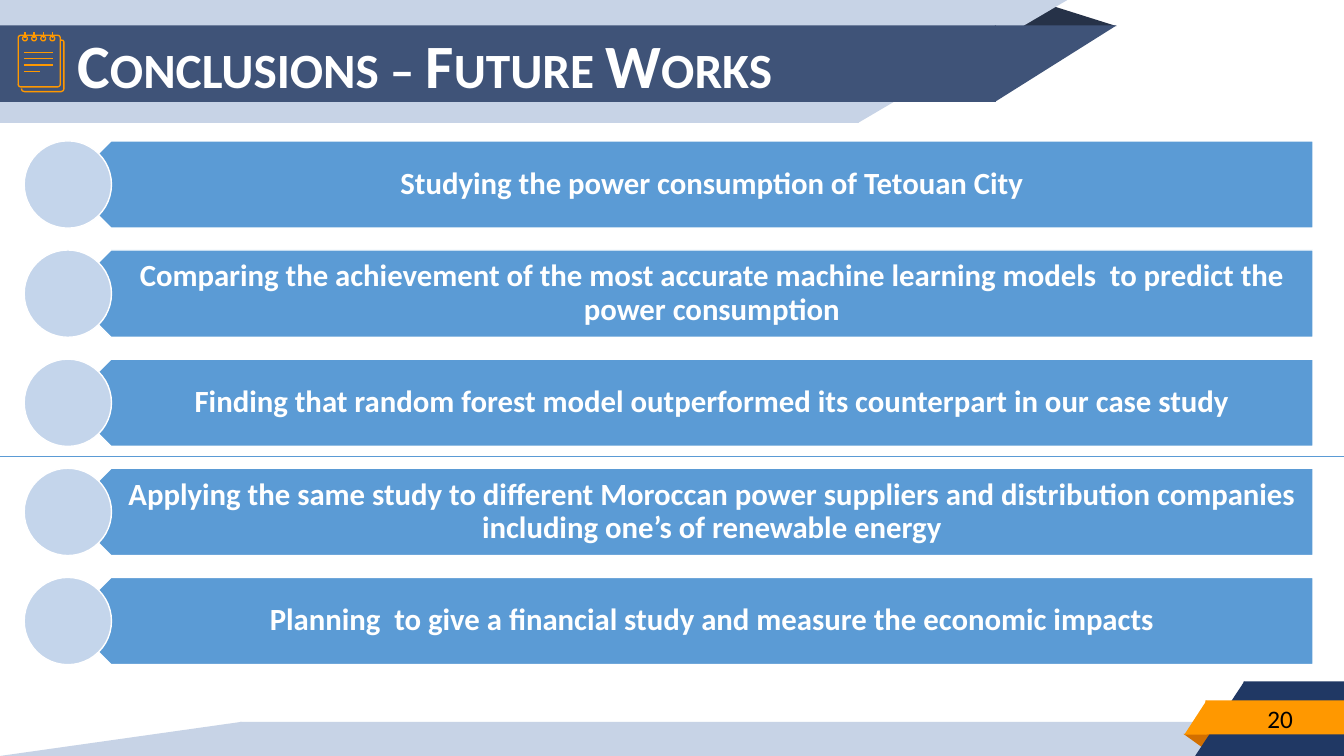
from pptx import Presentation
from pptx.dml.color import RGBColor
from pptx.enum.shapes import MSO_CONNECTOR, MSO_SHAPE
from pptx.enum.text import MSO_ANCHOR, PP_ALIGN
from pptx.oxml.ns import qn
from pptx.util import Cm, Pt
from lxml import etree

RECT = MSO_SHAPE.RECTANGLE
WEDGE = MSO_SHAPE.RIGHT_TRIANGLE
FOLD = MSO_SHAPE.ISOSCELES_TRIANGLE
ROUNDED = MSO_SHAPE.ROUNDED_RECTANGLE
PLATE = MSO_SHAPE.PENTAGON
OVAL = MSO_SHAPE.OVAL
STRAIGHT = MSO_CONNECTOR.STRAIGHT
MIDDLE = MSO_ANCHOR.MIDDLE
LEFT, CENTER = PP_ALIGN.LEFT, PP_ALIGN.CENTER

TITLE = "Conclusions – Future Works"
PAGE = "20"
POINTS = [
    "Studying the power consumption of Tetouan City",
    "Comparing the achievement of the most accurate machine learning models  to predict the power consumption",
    "Finding that random forest model outperformed its counterpart in our case study",
    "Applying the same study to different Moroccan power suppliers and distribution companies including one’s of renewable energy",
    "Planning  to give a financial study and measure the economic impacts",
]

FONT = "Calibri"
WHITE, BLACK = "FFFFFF", "000000"
PALE, SLATE, SHADE = "C7D3E6", "3F5378", "263248"
NAVY, ORANGE, RUST = "203864", "FF9800", "D26F00"
BLUE, DISC = "5B9BD5", "C4D5EB"

BANDS = [
    (RECT, 6.05, 18.19, 25.04, 0.86, PALE, False, 0),
    (WEDGE, 0, 18.19, 6.09, 0.86, PALE, True, 0),
    (FOLD, 25.04, 0, 3.1, 0.66, SHADE, False, 0),
    (RECT, 0, 0, 21.64, 3.1, PALE, False, 0),
    (WEDGE, 21.62, 0, 5.28, 3.1, PALE, True, 180),
    (RECT, 0, 0.64, 25.1, 1.93, SLATE, False, 0),
    (WEDGE, 25.07, 0.64, 3.07, 1.93, SLATE, True, 180),
    (FOLD, 29.82, 18.49, 0.74, 0.36, RUST, False, 180),
    (RECT, 31.34, 17.17, 2.53, 1.88, NAVY, False, 0),
    (WEDGE, 30.12, 17.17, 1.24, 1.88, NAVY, True, 0),
    (RECT, 30.38, 17.65, 3.49, 0.86, ORANGE, False, 0),
    (WEDGE, 29.85, 17.65, 0.56, 0.86, ORANGE, True, 0),
]
BACK_PAGE = [(0.54, 2.23), (0.56, 2.29), (0.62, 2.31), (1.54, 2.31),
             (1.6, 2.28), (1.61, 2.24), (1.61, 1.05), (1.59, 1.02), (1.54, 1.01)]
NOTE_LINE_ENDS = [1.34, 1.34, 1.34, 1.0]
RING_COUNT = 4
ROW_TOP, ROW_PITCH, ROW_H = 3.55, 2.75, 2.2


def rgb(color):
    return RGBColor.from_string(color)


def paint(sp, fill=None, line=None, width=1):
    sp.shadow.inherit = False
    if fill:
        sp.fill.solid()
        sp.fill.fore_color.rgb = rgb(fill)
    else:
        sp.fill.background()
    if line:
        sp.line.color.rgb = rgb(line)
        sp.line.width = Pt(width)
    else:
        sp.line.fill.background()


def add_shape(kind, x, y, w, h, fill=None, line=None, width=1, flip=False):
    sp = s.shapes.add_shape(kind, Cm(x), Cm(y), Cm(w), Cm(h))
    paint(sp, fill, line, width)
    if flip:
        sp._element.spPr.xfrm.set("flipH", "1")
    return sp


def add_line(x1, y1, x2, y2, color, width):
    ln = s.shapes.add_connector(STRAIGHT, Cm(x1), Cm(y1), Cm(x2), Cm(y2))
    ln.line.color.rgb = rgb(color)
    ln.line.width = Pt(width)
    etree.SubElement(ln._element.spPr, qn("a:effectLst"))


def write(sp, text, size, color, bold, align, insets, spacing=1.0):
    tf = sp.text_frame
    tf.word_wrap = True
    tf.vertical_anchor = MIDDLE
    tf.margin_left, tf.margin_top, tf.margin_right, tf.margin_bottom = map(Cm, insets)
    p = tf.paragraphs[0]
    p.text = text
    p.alignment = align
    p.line_spacing = spacing
    p.font.name = FONT
    p.font.size = Pt(size)
    p.font.bold = bold
    p.font.color.rgb = rgb(color)
    return p


prs = Presentation()
prs.slide_width, prs.slide_height = Cm(33.87), Cm(19.05)
s = prs.slides.add_slide(prs.slide_layouts[5])

for kind, x, y, w, h, color, flip, turn in BANDS:
    sp = add_shape(kind, x, y, w, h, color, flip=flip)
    sp.rotation = turn
    if kind == FOLD:
        sp.adjustments[0] = 0.324

fb = s.shapes.build_freeform(Cm(BACK_PAGE[0][0]), Cm(BACK_PAGE[0][1]))
fb.add_line_segments([(Cm(x), Cm(y)) for x, y in BACK_PAGE[1:]], close=False)
paint(fb.convert_to_shape(), line=ORANGE, width=0.96)
front_page = add_shape(ROUNDED, 0.46, 0.89, 1.06, 1.3, line=ORANGE, width=0.96)
front_page.adjustments[0] = 0.06
for i, end in enumerate(NOTE_LINE_ENDS):
    y = 1.32 + 0.16 * i
    add_line(0.61, y, end, y, ORANGE, 0.96)
for i in range(RING_COUNT):
    x = 0.63 + 0.23 * i
    add_shape(OVAL, x - 0.06, 0.91, 0.12, 0.12, line=ORANGE, width=0.96)
    add_line(x, 0.81, x, 0.97, ORANGE, 0.96)

title = s.shapes.title
title.left, title.top, title.width, title.height = Cm(1.7), Cm(0.61), Cm(24.31), Cm(2.21)
p = write(title, TITLE, 44, WHITE, True, LEFT, [0.25] * 4, 0.9)
p._p.get_or_add_pPr().find(qn("a:defRPr")).set("cap", "small")
s.shapes._spTree.append(title._element)

number = s.shapes.add_textbox(Cm(31.09), Cm(17.68), Cm(2.34), Cm(0.84))
write(number, PAGE, 18, BLACK, False, CENTER, [0.25] * 4)

for i, point in enumerate(POINTS):
    y = ROW_TOP + ROW_PITCH * i
    bar = add_shape(PLATE, 1.7, y, 31.39, ROW_H, BLUE, WHITE, flip=True)
    write(bar, point, 22, WHITE, True, CENTER, [0.95, 0.23, 0.41, 0.23], 0.9)
    add_shape(OVAL, 0.61, y, ROW_H, ROW_H, DISC, WHITE)

add_line(0, 11.51, 33.87, 11.51, BLUE, 0.5)
prs.save("out.pptx")
